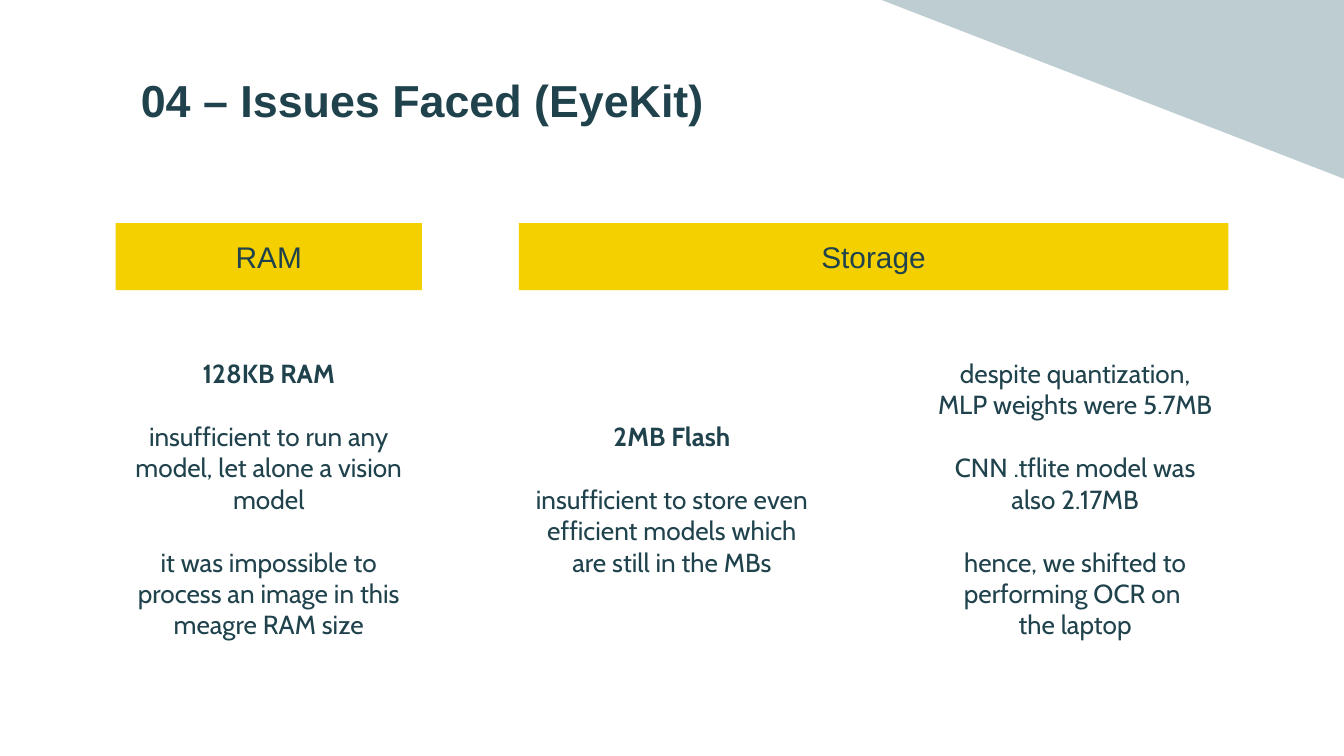
from lxml import etree
from pptx import Presentation
from pptx.dml.color import RGBColor
from pptx.enum.shapes import MSO_SHAPE
from pptx.enum.text import MSO_ANCHOR, PP_ALIGN
from pptx.oxml.ns import qn
from pptx.util import Inches, Pt

RECTANGLE = MSO_SHAPE.RECTANGLE
RIGHT_TRIANGLE = MSO_SHAPE.RIGHT_TRIANGLE
MIDDLE = MSO_ANCHOR.MIDDLE
LEFT, CENTER = PP_ALIGN.LEFT, PP_ALIGN.CENTER

COLORS = {"ink": "1F424C", "banner": "F4D000", "corner": "336574"}
HEADING_FONT, BODY_FONT = "Arial", "Cabin"

TITLE = "04 – Issues Faced (EyeKit)"
# Heading, first column, number of columns spanned
BANNERS = [("RAM", 0, 1), ("Storage", 1, 2)]
# Bold lead (or None), then the paragraphs below it
COLUMNS = [
    ("128KB RAM", [
        "insufficient to run any model, let alone a vision model",
        "it was impossible to process an image in this meagre RAM size",
    ]),
    ("2MB Flash", [
        "insufficient to store even efficient models which are still in the MBs",
    ]),
    (None, [
        "despite quantization, MLP weights were 5.7MB",
        "CNN .tflite model was also 2.17MB",
        "hence, we shifted to performing OCR on \vthe laptop",
    ]),
]

SLIDE_W = 10
SLIDE_H = SLIDE_W * 9 / 16
COLUMN_LEFT, COLUMN_W, COLUMN_STEP = 0.86, 2.28, 3
BANNER_TOP, BANNER_H = 1.66, 0.5
BODY_TOP, BODY_H = 2.4, 2.62
CORNER_W, CORNER_H = 3.44, 1.33
PARAGRAPH_GAP = 17


def paint(shape, color):
    shape.shadow.inherit = False
    shape.fill.solid()
    shape.fill.fore_color.rgb = RGBColor.from_string(COLORS[color])
    shape.line.fill.background()


def write(shape, lines, font_name, size, align=CENTER):
    """Fill a shape with (text, bold) paragraphs set one line apart."""
    frame = shape.text_frame
    frame.word_wrap = True
    frame.vertical_anchor = MIDDLE
    frame.margin_left = frame.margin_right = Inches(0.1)
    frame.margin_top = frame.margin_bottom = Inches(0.1)
    for i, (text, bold) in enumerate(lines):
        paragraph = frame.add_paragraph() if i else frame.paragraphs[0]
        paragraph.text = text
        paragraph.alignment = align
        if i:
            paragraph.space_before = Pt(PARAGRAPH_GAP)
        font = paragraph.font
        font.name, font.size, font.bold = font_name, Pt(size), bold
        font.color.rgb = RGBColor.from_string(COLORS["ink"])


def column_left(column):
    return COLUMN_LEFT + column * COLUMN_STEP


prs = Presentation()
prs.slide_width, prs.slide_height = Inches(SLIDE_W), Inches(SLIDE_H)
slide = prs.slides.add_slide(prs.slide_layouts[6])
shapes = slide.shapes

corner = shapes.add_shape(RIGHT_TRIANGLE, Inches(SLIDE_W - CORNER_W), 0,
                          Inches(CORNER_W), Inches(CORNER_H))
corner.rotation = 180
paint(corner, "corner")
corner_color = corner.fill._xPr.find(qn("a:solidFill"))[0]
etree.SubElement(corner_color, qn("a:alpha"), val="32000")

title = shapes.add_textbox(Inches(0.95), Inches(0.43), Inches(8.44), Inches(0.63))
write(title, [(TITLE, True)], HEADING_FONT, 24, LEFT)

for heading, first, span in BANNERS:
    width = COLUMN_W + (span - 1) * COLUMN_STEP
    banner = shapes.add_shape(RECTANGLE, Inches(column_left(first)), Inches(BANNER_TOP),
                              Inches(width), Inches(BANNER_H))
    paint(banner, "banner")
    write(banner, [(heading, False)], HEADING_FONT, 16)

for column, (lead, details) in enumerate(COLUMNS):
    body = shapes.add_textbox(Inches(column_left(column)), Inches(BODY_TOP),
                              Inches(COLUMN_W), Inches(BODY_H))
    lines = [(lead, True)] if lead else []
    lines += [(detail, False) for detail in details]
    write(body, lines, BODY_FONT, 14)

prs.save("out.pptx")
